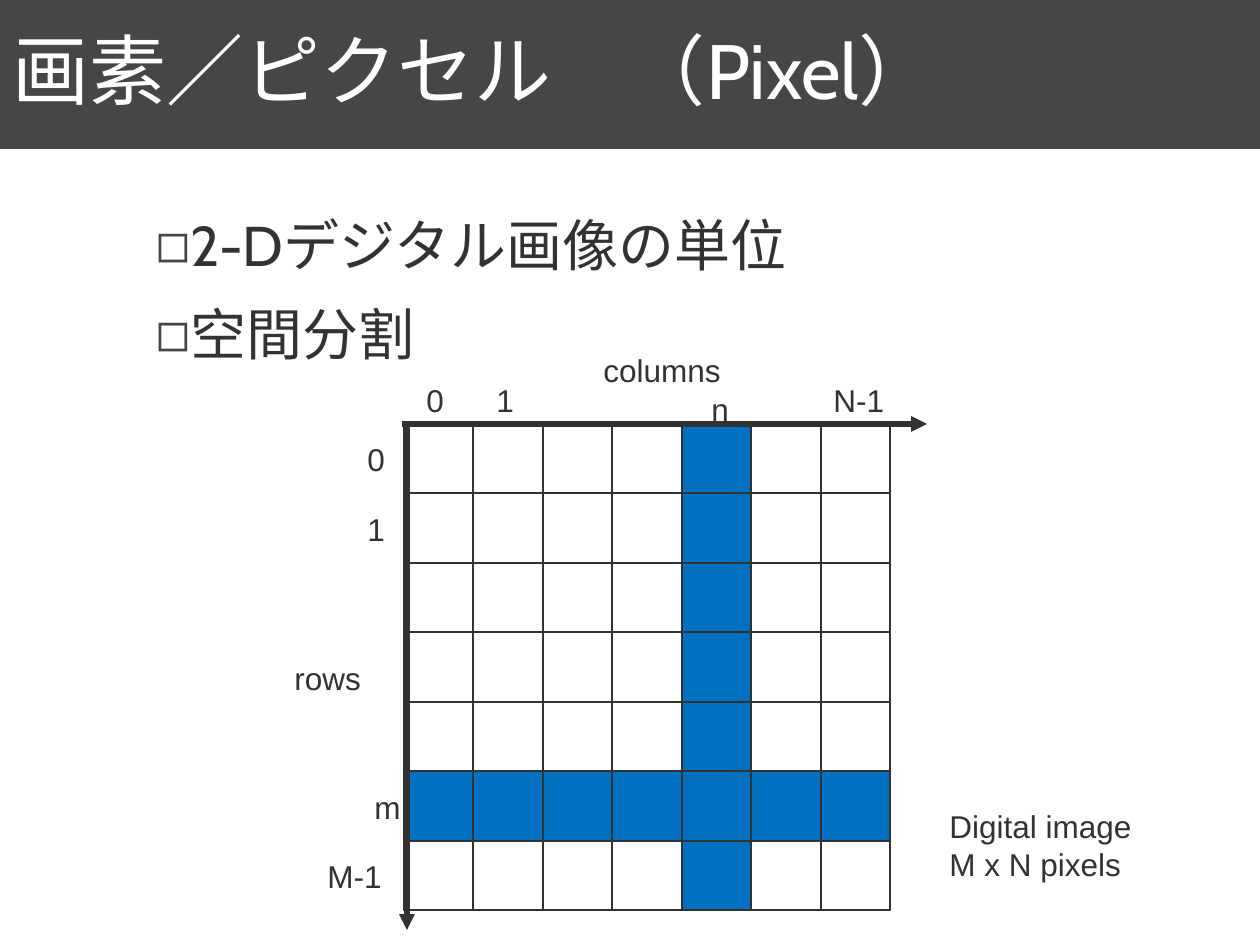
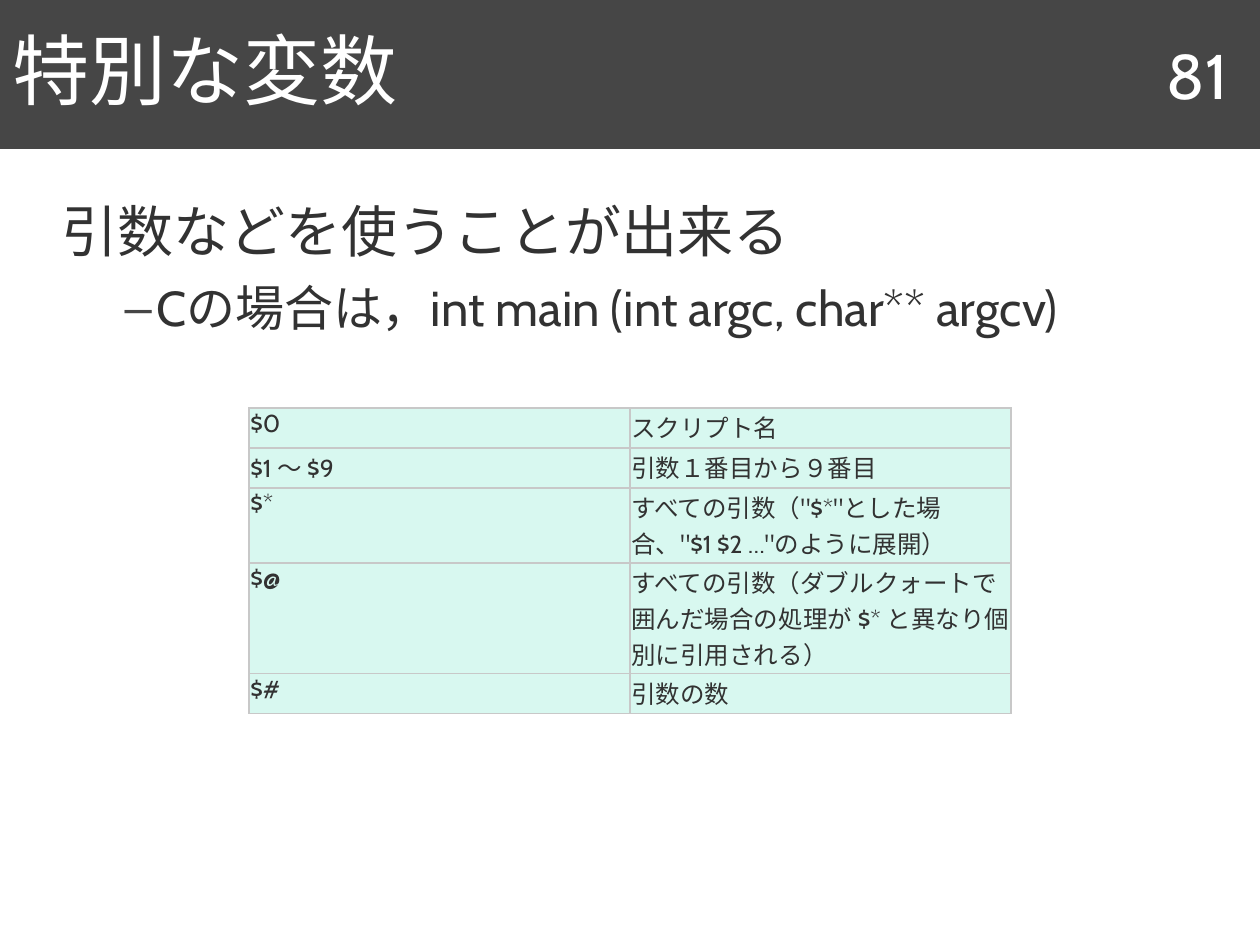
"""Two lecture slides: the pixel grid of a digital image, and special shell variables."""
from dataclasses import dataclass

from lxml import etree
from pptx import Presentation, util as u
from pptx.dml.color import RGBColor
from pptx.enum import shapes, text
from pptx.oxml import ns


@dataclass(frozen=True)
class Theme:
    band: RGBColor = RGBColor.from_string("464646")
    ink: RGBColor = RGBColor.from_string("323232")
    white: RGBColor = RGBColor.from_string("FFFFFF")
    highlight: RGBColor = RGBColor.from_string("0070C0")
    cell: RGBColor = RGBColor.from_string("D8F8F0")
    border: RGBColor = RGBColor.from_string("C8C8C8")
    heading_font: str = "Cabin"
    label_font: str = "Arial"
    title_size: int = 44
    number_size: int = 36
    list_sizes: tuple = (32, 28)
    label_size: int = 18
    table_size: int = 14


theme = Theme()
PX = u.Inches(1) / 126


def px(*lengths):
    return [round(length * PX) for length in lengths]


def style(frame, size, color, font):
    for paragraph in frame.paragraphs:
        for run in paragraph.runs:
            run.font.size = u.Pt(size)
            run.font.color.rgb = color
            run.font.name = font


prs = Presentation()
prs.slide_width, prs.slide_height = px(1260, 945)

outlines = [
    ("画素／ピクセル　（Pixel）", (143, 212, 1065, 567),
     [("2-Dデジタル画像の単位", 0, "◻"), ("空間分割", 0, "◻")]),
    ("特別な変数", (49, 198, 1166, 718),
     [("引数などを使うことが出来る", 0, None),
      ("Cの場合は，int main (int argc, char** argcv)", 1, "–")]),
]
for heading, place, points in outlines:
    slide = prs.slides.add_slide(prs.slide_layouts[1])
    title, body = slide.placeholders
    title.left, title.top, title.width, title.height = px(0, 0, 1260, 149)
    title.fill.solid()
    title.fill.fore_color.rgb = theme.band
    title.text_frame.text = heading
    title.text_frame.auto_size = text.MSO_AUTO_SIZE.NONE
    title.text_frame.vertical_anchor = text.MSO_ANCHOR.MIDDLE
    title.text_frame.paragraphs[0].alignment = text.PP_ALIGN.LEFT
    title.text_frame.paragraphs[0].line_spacing = 0.9
    style(title.text_frame, theme.title_size, theme.white, theme.heading_font)

    body.left, body.top, body.width, body.height = px(*place)
    body.text_frame.text = "\n".join(point for point, level, bullet in points)
    body.text_frame.auto_size = text.MSO_AUTO_SIZE.NONE
    style(body.text_frame, theme.list_sizes[0], theme.ink, theme.heading_font)
    for index, (point, level, bullet) in enumerate(points):
        item = body.text_frame.paragraphs[index]
        item.level = level
        props = item._p.get_or_add_pPr()
        hang = u.Inches(0.25) if bullet else 0
        props.set("marL", str(u.Inches(0.5) * level + hang))
        props.set("indent", str(-hang))
        if bullet:
            color = etree.SubElement(props, ns.qn("a:buClr"))
            etree.SubElement(color, ns.qn("a:srgbClr"), val=str(theme.band))
            etree.SubElement(props, ns.qn("a:buChar"), char=bullet)
        else:
            etree.SubElement(props, ns.qn("a:buNone"))
        item.line_spacing = 0.9
        item.space_before = u.Pt((10, 5)[level] if index else 0)
        item.space_after = u.Pt(6)
        item.runs[0].font.size = u.Pt(theme.list_sizes[level])

pixel_slide, variable_slide = prs.slides

GRID_LEFT, GRID_TOP, GRID_SIDE, CELLS = 404, 424, 486, 7
edges = [round(GRID_SIDE * i / CELLS) for i in range(CELLS + 1)]
spans = [(start, end - start) for start, end in zip(edges, edges[1:])]
columns = [(GRID_LEFT + start, GRID_TOP, size, GRID_SIDE) for start, size in spans]
rows = [(GRID_LEFT, GRID_TOP + start, GRID_SIDE, size) for start, size in spans]
column_n, row_m = columns[4], rows[5]
for strip in [column_n, *rows, *columns[:4], *columns[5:]]:
    band = pixel_slide.shapes.add_shape(shapes.MSO_SHAPE.RECTANGLE, *px(*strip))
    band.shadow.inherit = False
    if strip in (column_n, row_m):
        band.fill.solid()
        band.fill.fore_color.rgb = theme.highlight
    else:
        band.fill.background()
    band.line.color.rgb = theme.ink
    band.line.width = u.Pt(1.5)

labels = [
    ("0", 414, 375, 43), ("1", 484, 375, 43), ("N-1", 821, 375, 76),
    ("0", 355, 434, 43), ("1", 355, 504, 43), ("M-1", 315, 851, 79),
    ("columns", 591, 345, 146), ("rows", 282, 653, 92),
    ("Digital image\nM x N pixels", 937, 801, 209),
    ("n", 699, 384, 43), ("m", 362, 782, 52),
]
for wording, left, top, width in labels:
    height = 88 if "\n" in wording else 50
    label = pixel_slide.shapes.add_textbox(*px(left, top, width, height))
    label.text_frame.text = wording
    label.text_frame.word_wrap = False
    label.text_frame.auto_size = text.MSO_AUTO_SIZE.SHAPE_TO_FIT_TEXT
    style(label.text_frame, theme.label_size, theme.ink, theme.label_font)

for ends in [(402, 424, 927, 424), (407, 424, 407, 930)]:
    axis = pixel_slide.shapes.add_connector(shapes.MSO_CONNECTOR.STRAIGHT, *px(*ends))
    axis.line.color.rgb = theme.ink
    axis.line.width = u.Pt(3)
    etree.SubElement(axis.line._get_or_add_ln(), ns.qn("a:tailEnd"), type="triangle")
    etree.SubElement(axis._element.spPr, ns.qn("a:effectLst"))

page = variable_slide.shapes.add_textbox(*px(1091, 50, 149, 49))
page.text_frame.text = "81"
page.text_frame.word_wrap = True
page.text_frame.vertical_anchor = text.MSO_ANCHOR.MIDDLE
page.text_frame.paragraphs[0].alignment = text.PP_ALIGN.RIGHT
style(page.text_frame, theme.number_size, theme.white, theme.heading_font)

variables = [
    ("$0", "スクリプト名", 40),
    ("$1 〜 $9", "引数１番目から９番目", 40),
    ("$*", 'すべての引数（"$*"とした場合、"$1 $2 …"のように展開）', 75),
    ("$@", "すべての引数（ダブルクォートで囲んだ場合の処理が $* と異なり個別に引用される）", 111),
    ("$#", "引数の数", 40),
]
table_height = sum(height for *_, height in variables)
table = variable_slide.shapes.add_table(
    len(variables), 2, *px(249, 408, 762, table_height)).table
table.first_row = table.horz_banding = False
for row, (name, meaning, height) in zip(table.rows, variables):
    row.height, = px(height)
    for cell, wording in zip(row.cells, (name, meaning)):
        cell.text_frame.text = wording
        style(cell.text_frame, theme.table_size, theme.ink, theme.heading_font)
        cell.margin_left = cell.margin_top = cell.margin_bottom = u.Inches(0.01)
        cell.margin_right = 0
        props = cell._tc.get_or_add_tcPr()
        for side in ("lnL", "lnR", "lnT", "lnB"):
            border = etree.SubElement(props, ns.qn(f"a:{side}"), w=str(u.Pt(0.75)))
            fill = etree.SubElement(border, ns.qn("a:solidFill"))
            etree.SubElement(fill, ns.qn("a:srgbClr"), val=str(theme.border))
        cell.fill.solid()
        cell.fill.fore_color.rgb = theme.cell

prs.save("out.pptx")
